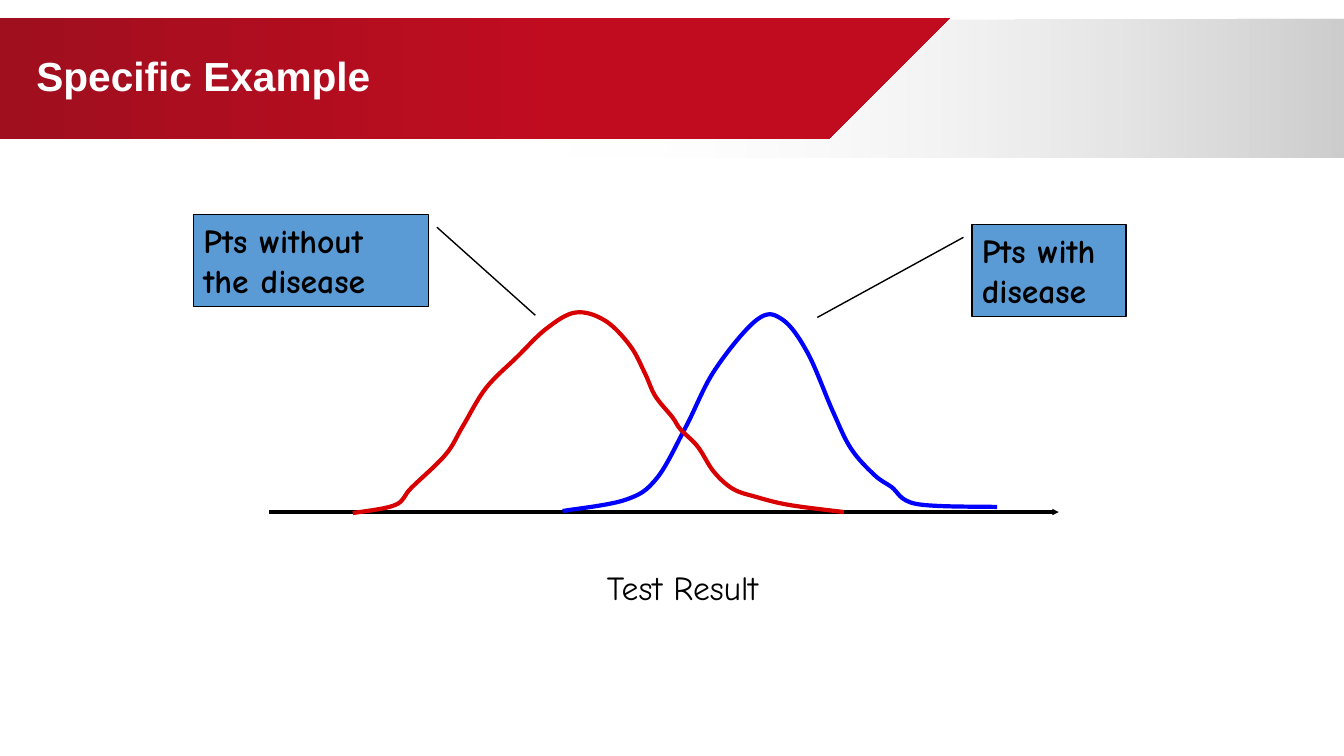
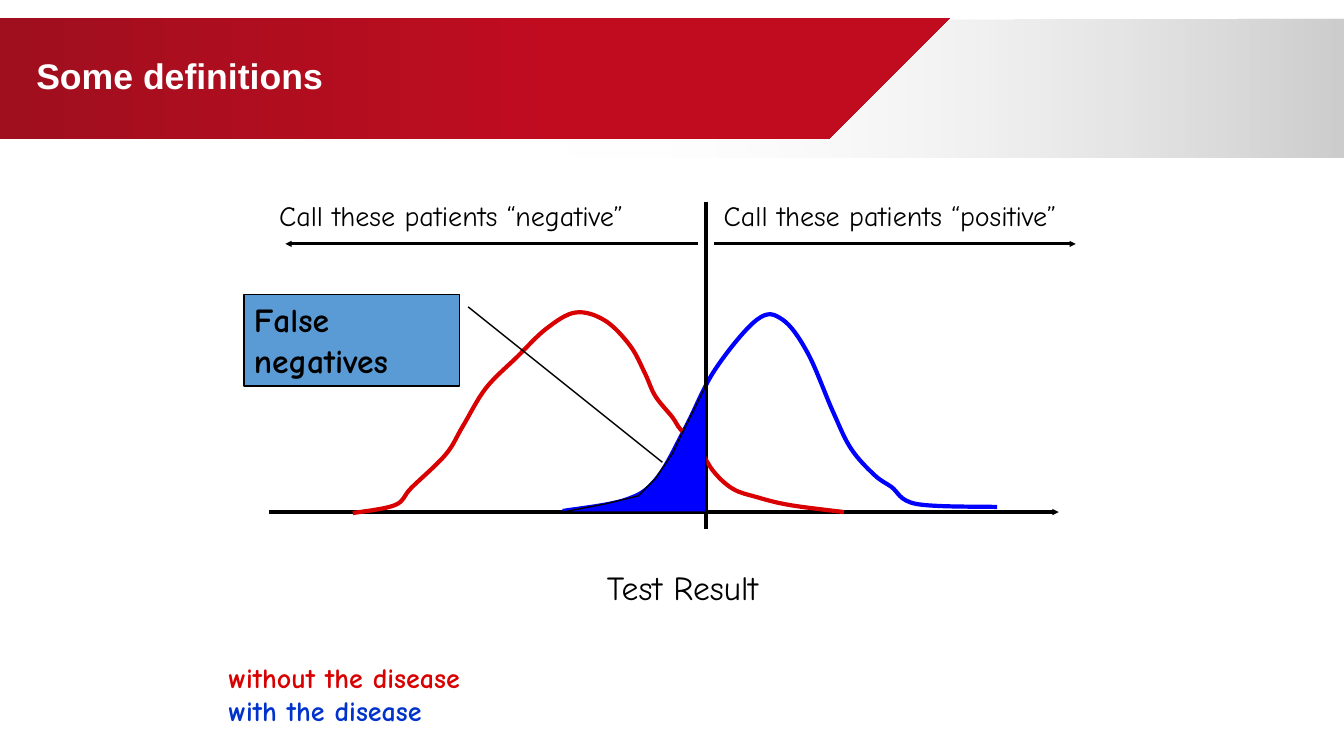
from lxml.etree import SubElement
from pptx import Presentation
from pptx.dml.color import RGBColor
from pptx.enum.shapes import MSO_CONNECTOR, MSO_SHAPE
from pptx.enum.text import MSO_ANCHOR, MSO_AUTO_SIZE, PP_ALIGN
from pptx.oxml.ns import qn
from pptx.util import Inches, Pt

BLACK = RGBColor(0x00, 0x00, 0x00)
WHITE = RGBColor(0xFF, 0xFF, 0xFF)
GRAY = RGBColor(0x50, 0x51, 0x50)
DARK_RED = RGBColor(0x9F, 0x0F, 0x1E)
BAND_RED = RGBColor(0xC1, 0x0C, 0x20)
CURVE_RED = RGBColor(0xD8, 0x00, 0x00)
CURVE_BLUE = RGBColor(0x00, 0x00, 0xFF)
LABEL_BLUE = RGBColor(0x00, 0x33, 0xCC)
CALLOUT_BLUE = RGBColor(0x5B, 0x9B, 0xD5)
TITLE_FONT = "Arial"
BODY_FONT = "Comic Neue"

GRAY_BAND = [(13.36, 0.18), (6.75, 0.19), (5.49, 1.56), (13.36, 1.56)]
RED_BAND = [(-0.03, 0.18), (9.42, 0.18), (8.22, 1.38), (-0.02, 1.38)]
WITH_DISEASE = [
    (5.58, 5.07), (6.2, 4.96), (6.51, 4.75), (6.8, 4.24), (7.09, 3.67),
    (7.51, 3.17), (7.76, 3.17), (8.01, 3.5), (8.26, 4.08), (8.44, 4.45),
    (8.67, 4.71), (8.84, 4.83), (9.09, 5), (9.89, 5.03),
]
WITHOUT_DISEASE = [
    (3.5, 5.09), (3.92, 5.01), (4.08, 4.84), (4.42, 4.51), (4.59, 4.23),
    (4.82, 3.85), (5.13, 3.54), (5.42, 3.26), (5.71, 3.1), (6, 3.18),
    (6.25, 3.43), (6.4, 3.71), (6.5, 3.93), (6.67, 4.14), (6.75, 4.26),
    (6.92, 4.43), (7.08, 4.68), (7.27, 4.85), (7.5, 4.93), (7.83, 5.01),
    (8.37, 5.08),
]
FALSE_NEGATIVE_AREA = [
    (7, 3.83), (7, 5.08), (5.58, 5.08), (6, 5), (6.33, 4.92), (6.42, 4.83),
    (6.5, 4.75), (6.67, 4.5), (6.75, 4.33), (6.83, 4.17),
]

AXIS_LABEL = (5.92, 5.58, 2.75, 0.5, "Test Result", 24, False, BLACK, None)
SLIDES = [
    {
        "title": "Specific Example",
        "title_size": 29,
        "lines": [],
        "areas": [],
        "boxes": [
            AXIS_LABEL,
            (9.64, 2.23, 1.53, 0.91, "Pts with disease", 24, True, BLACK,
             (0.137, -0.055, 1.011, -1.003)),
            (1.92, 2.13, 2.33, 0.91, "Pts without the disease", 24, True, BLACK,
             (0.137, 1.036, 1.097, 1.455)),
        ],
    },
    {
        "title": "Some definitions",
        "title_size": 25.4,
        "lines": [
            (7, 2, 7, 5.25, 3, False),
            (6.92, 2.42, 2.83, 2.42, 2.25, True),
            (7.08, 2.42, 10.67, 2.42, 2.25, True),
        ],
        "areas": [FALSE_NEGATIVE_AREA],
        "boxes": [
            AXIS_LABEL,
            (2.67, 1.92, 4.33, 0.44, "Call these patients “negative”", 20, False, BLACK, None),
            (7.08, 1.92, 4.33, 0.44, "Call these patients “positive”", 20, False, BLACK, None),
            (2.17, 6.5, 3.25, 0.44, "without the disease", 20, True, CURVE_RED, None),
            (2.17, 6.83, 3.33, 0.44, "with the disease", 20, True, LABEL_BLUE, None),
            (2.42, 2.92, 2.14, 0.91, "False negatives", 24, True, BLACK,
             (0.137, 1.039, 1.831, 1.939)),
        ],
    },
]


def add_outline(slide, points, closed=True):
    vertices = [(Inches(x), Inches(y)) for x, y in points]
    builder = slide.shapes.build_freeform(*vertices[0])
    builder.add_line_segments(vertices[1:], close=closed)
    shape = builder.convert_to_shape()
    shape.shadow.inherit = False
    return shape


def add_line(slide, start_x, start_y, end_x, end_y, width, arrow):
    connector = slide.shapes.add_connector(
        MSO_CONNECTOR.STRAIGHT, Inches(start_x), Inches(start_y), Inches(end_x), Inches(end_y))
    connector.line.color.rgb = BLACK
    connector.line.width = Pt(width)
    properties = connector.element.spPr
    if arrow:
        SubElement(properties.find(qn("a:ln")), qn("a:tailEnd"), type="triangle", w="sm", len="sm")
    SubElement(properties, qn("a:effectLst"))


presentation = Presentation()
presentation.slide_width = Inches(13.33)
presentation.slide_height = Inches(7.5)
layout = presentation.slide_layouts[5]
title_placeholder = layout.placeholders[0]
title_placeholder.left, title_placeholder.top = Inches(0.26), Inches(0.15)
title_placeholder.width, title_placeholder.height = Inches(8.98), Inches(1.25)
slides = [presentation.slides.add_slide(layout) for content in SLIDES]

bands = [
    (GRAY_BAND, [(0, WHITE, 0), (1, GRAY, 30)]),
    (RED_BAND, [(0, DARK_RED, 100), (0.6, BAND_RED, 100)]),
]
for index, (points, stops) in enumerate(bands):
    band = add_outline(slides[0], points)
    band.line.fill.background()
    band.fill.gradient()
    band.fill.gradient_angle = 0
    for stop, (position, color, opacity) in zip(band.fill.gradient_stops, stops):
        stop.position = position
        stop.color.rgb = color
    for element, (position, color, opacity) in zip(band.element.iter(qn("a:srgbClr")), stops):
        if opacity < 100:
            SubElement(element, qn("a:alpha"), val=str(opacity * 1000))
    layout.shapes.element.insert(2 + index, band.element)

for slide, content in zip(slides, SLIDES):
    title = slide.shapes.title.text_frame
    title.auto_size = MSO_AUTO_SIZE.NONE
    title.vertical_anchor = MSO_ANCHOR.MIDDLE
    paragraph = title.paragraphs[0]
    paragraph.alignment = PP_ALIGN.LEFT
    paragraph.line_spacing = 0.9
    run = paragraph.add_run()
    run.text = content["title"]
    run.font.name = TITLE_FONT
    run.font.size = Pt(content["title_size"])
    run.font.bold = True
    run.font.color.rgb = WHITE

    add_line(slide, 2.67, 5.08, 10.5, 5.08, 2.25, True)
    for points, color, lines in [
        (WITH_DISEASE, CURVE_BLUE, content["lines"]),
        (WITHOUT_DISEASE, CURVE_RED, []),
    ]:
        curve = add_outline(slide, points, closed=False)
        curve.fill.background()
        curve.line.color.rgb = color
        curve.line.width = Pt(3)
        anchors = [(int(point.get("x")), int(point.get("y")))
                   for point in curve.element.iter(qn("a:pt"))]
        padded = [anchors[0], *anchors, anchors[-1]]
        segments = list(curve.element.iter(qn("a:lnTo")))
        for index, segment in enumerate(segments):
            before, start, end, after = padded[index:index + 4]
            first = [s + (e - b) / 6 for b, s, e in zip(before, start, end)]
            second = [e - (a - s) / 6 for s, e, a in zip(start, end, after)]
            path = segment.getparent()
            bezier = SubElement(path, qn("a:cubicBezTo"))
            for x, y in (first, second, end):
                SubElement(bezier, qn("a:pt"), x=str(round(x)), y=str(round(y)))
            path.replace(segment, bezier)
        for line in lines:
            add_line(slide, *line)

    for points in content["areas"]:
        area = add_outline(slide, points)
        area.fill.solid()
        area.fill.fore_color.rgb = CURVE_BLUE
        area.line.color.rgb = BLACK
        area.line.width = Pt(1)

    for left, top, width, height, text, size, bold, color, pointer in content["boxes"]:
        bounds = [Inches(length) for length in (left, top, width, height)]
        if pointer:
            shape = slide.shapes.add_shape(MSO_SHAPE.LINE_CALLOUT_1, *bounds)
            shape.shadow.inherit = False
            shape.fill.solid()
            shape.fill.fore_color.rgb = CALLOUT_BLUE
            shape.line.color.rgb = BLACK
            shape.line.width = Pt(1)
            for index, value in enumerate(pointer):
                shape.adjustments[index] = value
        else:
            shape = slide.shapes.add_textbox(*bounds)
        frame = shape.text_frame
        frame.word_wrap = True
        frame.auto_size = MSO_AUTO_SIZE.SHAPE_TO_FIT_TEXT
        frame.vertical_anchor = MSO_ANCHOR.TOP
        paragraph = frame.paragraphs[0]
        paragraph.alignment = PP_ALIGN.LEFT
        run = paragraph.add_run()
        run.text = text
        run.font.name = BODY_FONT
        run.font.size = Pt(size)
        run.font.bold = bold
        run.font.color.rgb = color

presentation.save("out.pptx")
